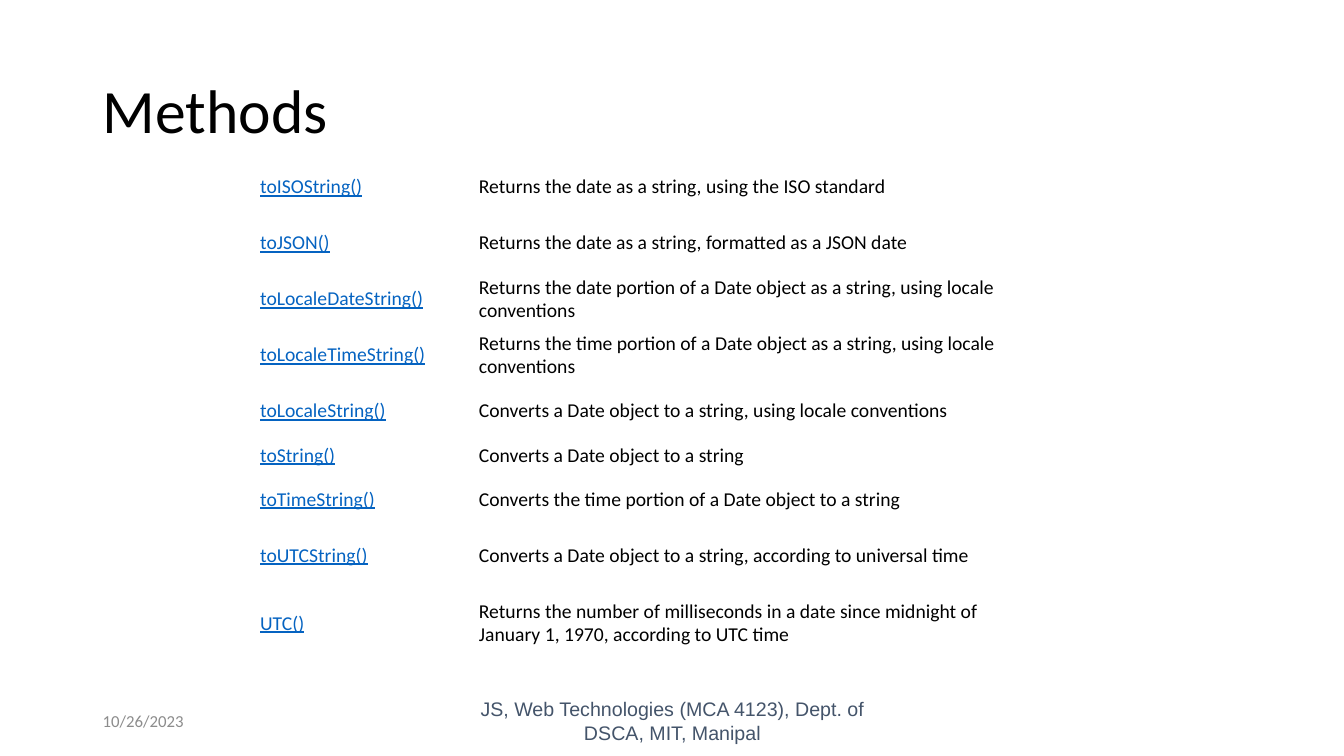
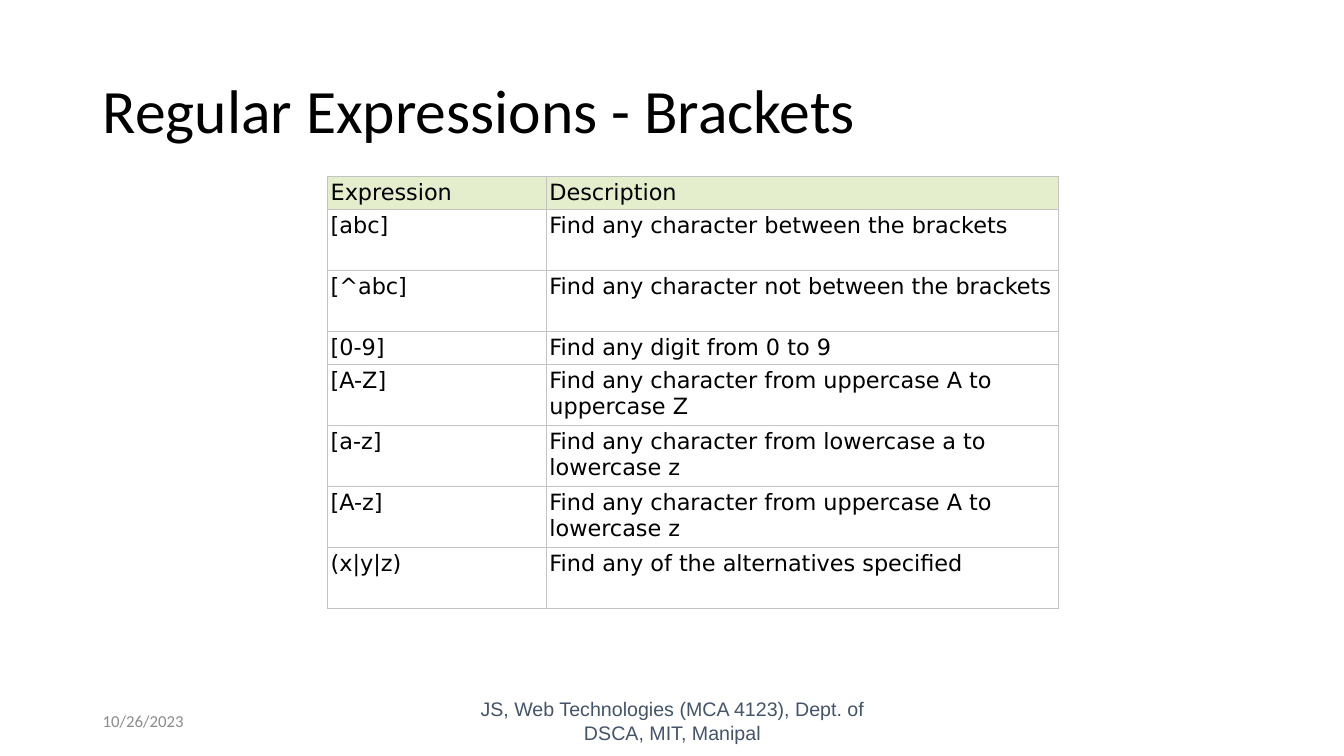
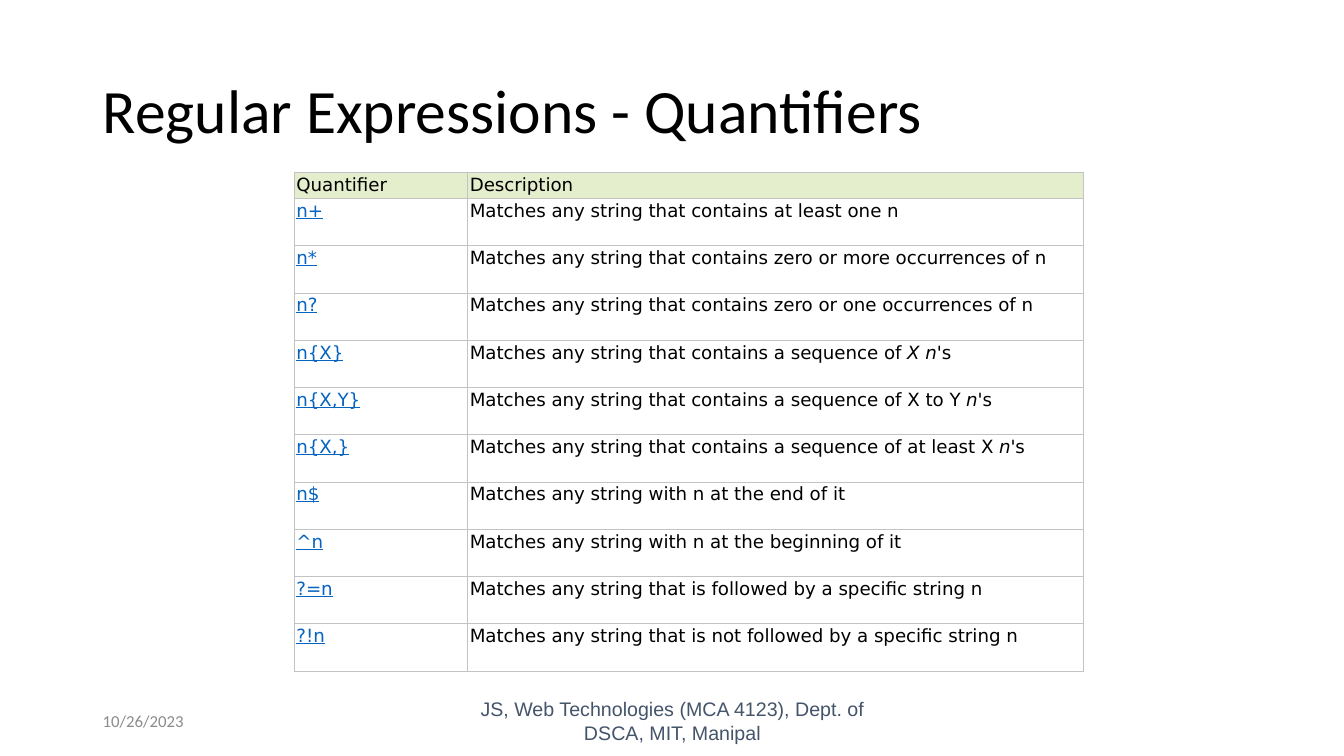
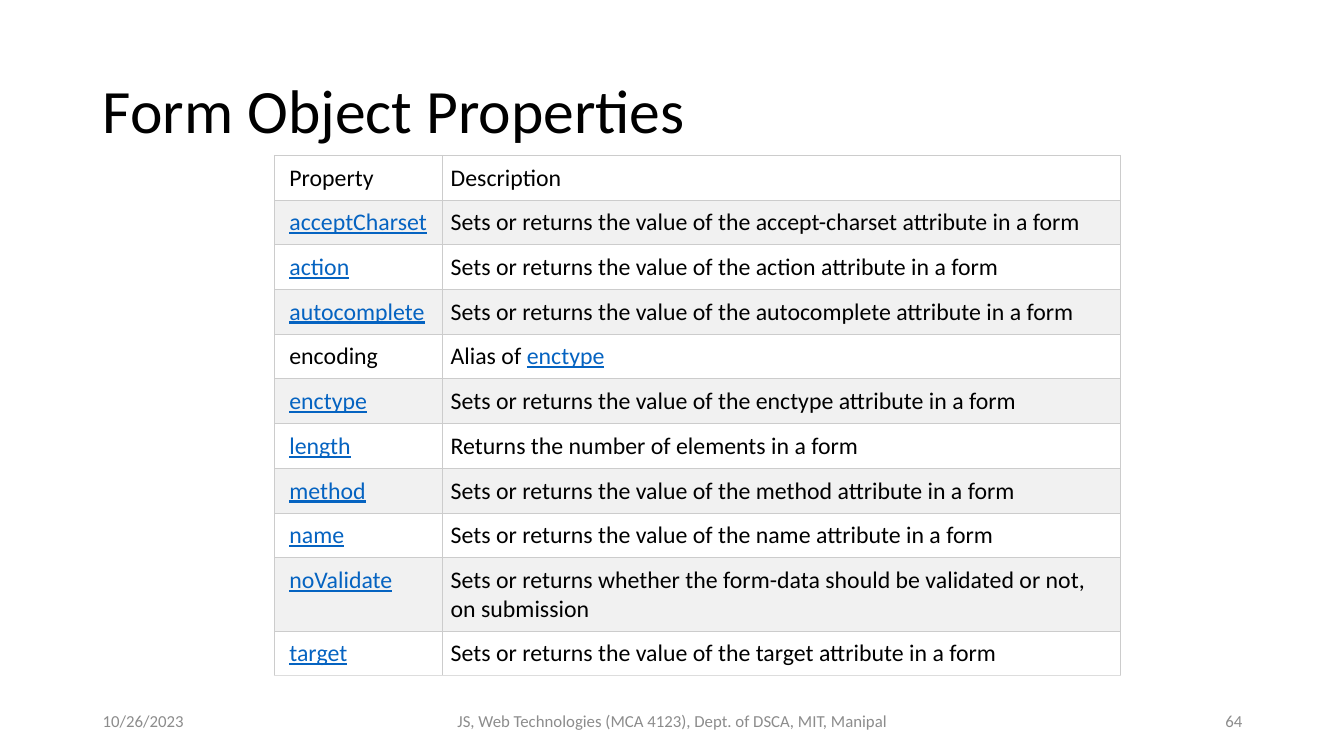
from lxml import etree
from pptx import Presentation
from pptx.dml.color import RGBColor
from pptx.enum.text import MSO_ANCHOR, PP_ALIGN
from pptx.oxml.ns import qn
from pptx.util import Inches, Pt

LEFT, CENTER, RIGHT = PP_ALIGN.LEFT, PP_ALIGN.CENTER, PP_ALIGN.RIGHT
TOP, MIDDLE = MSO_ANCHOR.TOP, MSO_ANCHOR.MIDDLE
TITLE_ONLY = 5

BLACK, WHITE = "000000", "FFFFFF"
LINK_BLUE, SLATE, GRAY = "0563C1", "44546A", "8C8C8C"
PALE_GREEN, PALE_GRAY = "E5EECC", "F1F1F1"
GRID, LIGHT_GRID, LAST_LINE = "C3C3C3", "CCCCCC", "DDDDDD"

DATE = "10/26/2023"
COURSE = "JS, Web Technologies (MCA 4123), Dept. of DSCA, MIT, Manipal"

METHODS = [
    ("toISOString()", "Returns the date as a string, using the ISO standard"),
    ("toJSON()", "Returns the date as a string, formatted as a JSON date"),
    ("toLocaleDateString()", "Returns the date portion of a Date object as a string, using locale conventions"),
    ("toLocaleTimeString()", "Returns the time portion of a Date object as a string, using locale conventions"),
    ("toLocaleString()", "Converts a Date object to a string, using locale conventions"),
    ("toString()", "Converts a Date object to a string"),
    ("toTimeString()", "Converts the time portion of a Date object to a string"),
    ("toUTCString()", "Converts a Date object to a string, according to universal time"),
    ("UTC()", "Returns the number of milliseconds in a date since midnight of January 1, 1970, according to UTC time"),
]
BRACKETS = [
    ("Expression", "Description"),
    ("[abc]", "Find any character between the brackets"),
    ("[^abc]", "Find any character not between the brackets"),
    ("[0-9]", "Find any digit from 0 to 9"),
    ("[A-Z]", "Find any character from uppercase A to uppercase Z"),
    ("[a-z]", "Find any character from lowercase a to lowercase z"),
    ("[A-z]", "Find any character from uppercase A to lowercase z"),
    ("(x|y|z)", "Find any of the alternatives specified"),
]
QUANTIFIERS = [
    ("Quantifier", "Description"),
    ("n+", "Matches any string that contains at least one n"),
    ("n*", "Matches any string that contains zero or more occurrences of n"),
    ("n?", "Matches any string that contains zero or one occurrences of n"),
    ("n{X}", [("Matches any string that contains a sequence of ", ""), ("X n", "italic"), ("'s", "")]),
    ("n{X,Y}", [("Matches any string that contains a sequence of X to Y ", ""), ("n", "italic"), ("'s", "")]),
    ("n{X,}", [("Matches any string that contains a sequence of at least X ", ""), ("n", "italic"), ("'s", "")]),
    ("n$", "Matches any string with n at the end of it"),
    ("^n", "Matches any string with n at the beginning of it"),
    ("?=n", "Matches any string that is followed by a specific string n"),
    ("?!n", "Matches any string that is not followed by a specific string n"),
]
PROPERTIES = [
    ("Property", "Description"),
    ("acceptCharset", "Sets or returns the value of the accept-charset attribute in a form"),
    ("action", "Sets or returns the value of the action attribute in a form"),
    ("autocomplete", "Sets or returns the value of the autocomplete attribute in a form"),
    ("encoding", [("Alias of ", ""), ("enctype", "link")]),
    ("enctype", "Sets or returns the value of the enctype attribute in a form"),
    ("length", "Returns the number of elements in a form"),
    ("method", "Sets or returns the value of the method attribute in a form"),
    ("name", "Sets or returns the value of the name attribute in a form"),
    ("noValidate", "Sets or returns whether the form-data should be validated or not, on submission"),
    ("target", "Sets or returns the value of the target attribute in a form"),
]


def rgb(value):
    """Turn a hex string into a colour."""
    return RGBColor.from_string(value)


class Deck:
    """Hold the shared style and the current slide."""

    def __init__(self):
        """Start an empty widescreen presentation."""
        self.prs = Presentation()
        self.prs.slide_width, self.prs.slide_height = Inches(13.33), Inches(7.5)
        self.slide = None

    def style(self, paragraph, size, font="Calibri", color=BLACK, align=LEFT):
        """Set the font and alignment of a paragraph."""
        paragraph.alignment = align
        paragraph.font.size, paragraph.font.name = Pt(size), font
        paragraph.font.color.rgb = rgb(color)

    def add_slide(self, heading):
        """Add a slide with its title and date."""
        self.slide = self.prs.slides.add_slide(self.prs.slide_layouts[TITLE_ONLY])
        title = self.slide.shapes.title
        title.left, title.top = Inches(0.92), Inches(0.4)
        title.width, title.height = Inches(11.5), Inches(1.45)
        title.text_frame.text = heading
        title.text_frame.vertical_anchor = MIDDLE
        paragraph = title.text_frame.paragraphs[0]
        self.style(paragraph, 44)
        paragraph.line_spacing = 0.9
        self.footer(DATE, 0.92, 3)

    def footer(self, text, left, width, align=LEFT, size=12, font="Calibri", color=GRAY):
        """Add one text of the footer line."""
        box = self.slide.shapes.add_textbox(Inches(left), Inches(6.95), Inches(width), Inches(0.4))
        frame = box.text_frame
        frame.word_wrap, frame.vertical_anchor = True, MIDDLE
        frame.text = text
        self.style(frame.paragraphs[0], size, font, color, align)

    def course(self, **look):
        """Add the course name in the middle of the footer."""
        self.footer(COURSE, 4.42, 4.5, CENTER, **look)

    def mark_link(self, font):
        """Give a font the look of a link."""
        font.color.rgb, font.underline = rgb(LINK_BLUE), True

    def borders(self, cell, color, bottom):
        """Draw the four thin borders of a cell."""
        properties = cell._tc.get_or_add_tcPr()
        for place, side in enumerate(("lnL", "lnR", "lnT", "lnB")):
            line = etree.Element(qn(f"a:{side}"), w=str(Pt(0.75)))
            fill = etree.SubElement(line, qn("a:solidFill"))
            etree.SubElement(fill, qn("a:srgbClr"), val=bottom if side == "lnB" else color)
            properties.insert(place, line)

    def write_cell(self, cell, content, size, font, linked):
        """Write plain or mixed content into a cell."""
        paragraph = cell.text_frame.paragraphs[0]
        self.style(paragraph, size, font)
        if linked:
            self.mark_link(paragraph.font)
        for text, kind in [(content, "")] if isinstance(content, str) else content:
            run = paragraph.add_run()
            run.text = text
            if kind == "italic":
                run.font.italic = True
            elif kind == "link":
                self.mark_link(run.font)

    def table(self, rows, at, columns, fixed, size, margins, font="Calibri", anchor=TOP,
              fills=(WHITE,), header=None, border=None, last_border=None, plain=()):
        """Add a table; rows without a fixed height share the rest equally."""
        left, top, height = at
        frame = self.slide.shapes.add_table(len(rows), len(columns), Inches(left), Inches(top),
                                            Inches(sum(columns)), Inches(height))
        grid = frame.table
        grid.first_row = grid.horz_banding = False
        for column, width in zip(grid.columns, columns):
            column.width = Inches(width)
        shared = (height - sum(fixed.values())) / (len(rows) - len(fixed))
        for r, row in enumerate(rows):
            grid.rows[r].height = Inches(fixed.get(r, shared))
            for c, content in enumerate(row):
                cell = grid.cell(r, c)
                side, edge, first = margins
                cell.margin_left = Inches(side if c else first)
                cell.margin_right = Inches(side)
                cell.margin_top = cell.margin_bottom = Inches(edge)
                cell.vertical_anchor = anchor
                cell.fill.solid()
                cell.fill.fore_color.rgb = rgb(header if header and r == 0 else fills[r % len(fills)])
                if border:
                    last = last_border and r == len(rows) - 1
                    self.borders(cell, border, last_border if last else border)
                self.write_cell(cell, content, size, font, c == 0 and r not in plain)


def main():
    """Build and save the four slides."""
    deck = Deck()
    old_footer = {"size": 14, "font": "Arial", "color": SLATE}
    green_grid = {"font": "DejaVu Sans", "header": PALE_GREEN, "border": GRID}

    deck.add_slide("Methods")
    deck.table(METHODS, (2.5, 1.58, 5), (2.17, 5.62), {5: 0.32, 8: 0.79}, 14,
               (0.08, 0.04, 0.08), anchor=MIDDLE)
    deck.course(**old_footer)

    deck.add_slide("Regular Expressions - Brackets")
    deck.table(BRACKETS, (3.25, 1.75, 4.29), (2.17, 5.08), {0: 0.33, 3: 0.33}, 16,
               (0.03, 0.03, 0.03), plain=range(len(BRACKETS)), **green_grid)
    deck.course(**old_footer)

    deck.add_slide("Regular Expressions - Quantifiers")
    deck.table(QUANTIFIERS, (2.92, 1.71, 4.95), (1.72, 6.11), {0: 0.26}, 13,
               (0.02, 0.02, 0.02), plain=(0,), **green_grid)
    deck.course(**old_footer)

    deck.add_slide("Form Object Properties")
    deck.table(PROPERTIES, (2.72, 1.54, 5.09), (1.67, 6.72), {9: 0.71}, 17,
               (0.08, 0.08, 0.15), fills=(WHITE, PALE_GRAY), border=LIGHT_GRID,
               last_border=LAST_LINE, plain=(0, 4))
    deck.course()
    deck.footer("64", 9.42, 3, RIGHT)

    deck.prs.save("out.pptx")


if __name__ == "__main__":
    main()
